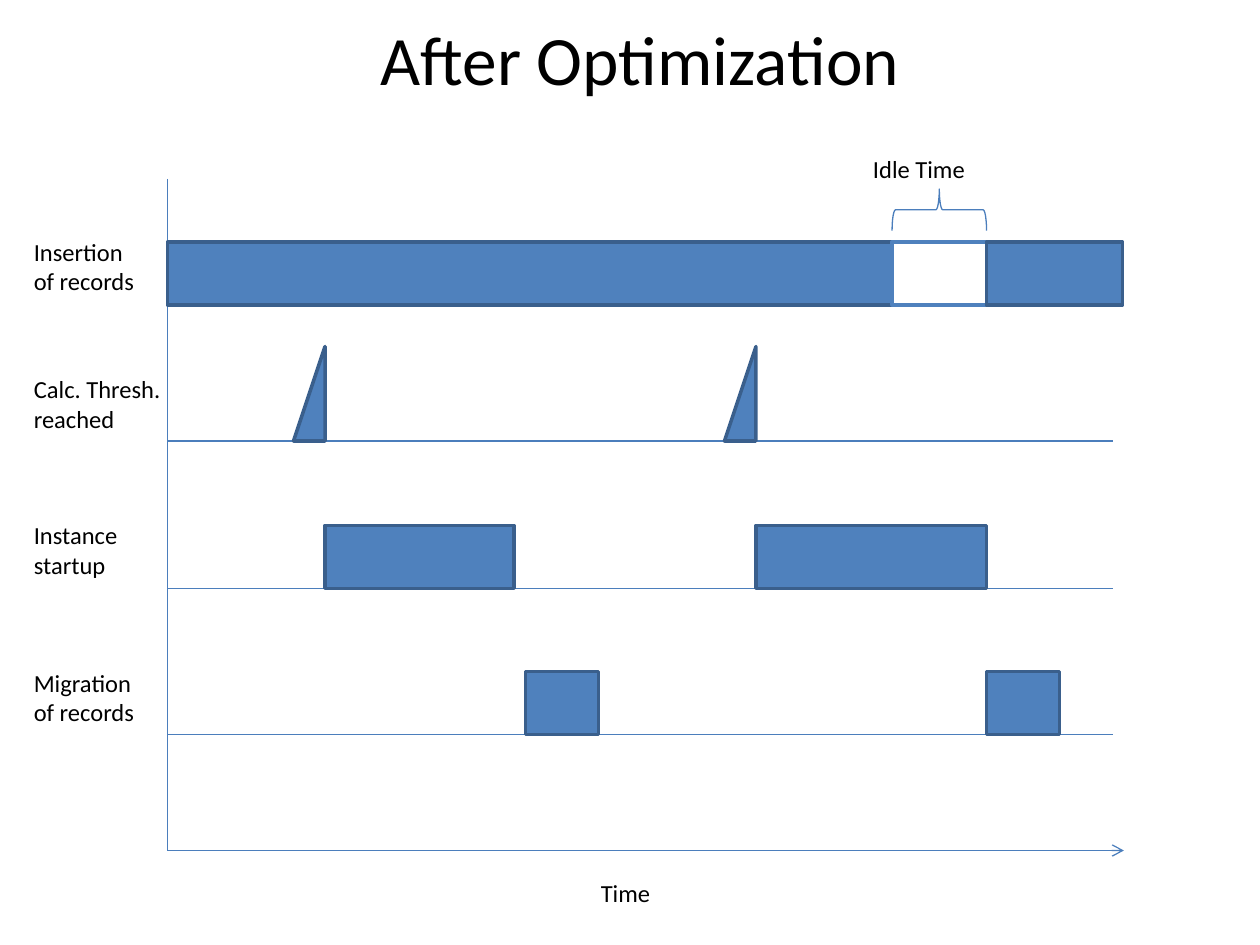
"""Build a timing diagram slide of the optimized record process."""
from lxml.etree import SubElement
from pptx import Presentation
from pptx.dml.color import RGBColor
from pptx.enum.shapes import MSO_CONNECTOR, MSO_SHAPE
from pptx.enum.text import MSO_ANCHOR, PP_ALIGN
from pptx.oxml.ns import qn
from pptx.util import Inches, Pt

BLUE, EDGE, LINE, WHITE, BLACK = "4F81BD", "3A5F8C", "4B7EBC", "FFFFFF", "000000"
AXIS_LEFT, AXIS_TOP, AXIS_BOTTOM, AXIS_RIGHT = 1.33, 1.42, 6.75, 8.92
BASELINE_RIGHT = 8.83
BAR_HEIGHT, PEAK_WIDTH, PEAK_HEIGHT = 0.5, 0.25, 0.75

ROWS = [
    ("Insertion of records", 1.83, 1, 2.42),
    ("Calc. Thresh. reached", 2.92, 1.42, 3.5),
    ("Instance startup", 4.08, 1, 4.67),
    ("Migration of records", 5.25, 1, 5.83),
]
BARS = [
    (1.33, 2.42, 5.75, BLUE, EDGE),
    (7.08, 2.42, 0.75, WHITE, BLUE),
    (7.83, 2.42, 1.08, BLUE, EDGE),
    (2.58, 4.67, 1.5, BLUE, EDGE),
    (6, 4.67, 1.83, BLUE, EDGE),
    (4.17, 5.83, 0.58, BLUE, EDGE),
    (7.83, 5.83, 0.58, BLUE, EDGE),
]
PEAKS = [2.33, 5.75]


def color(value):
    """Turn a hex string into a colour."""
    return RGBColor.from_string(value)


def add_text(page, text, left, top, width, height, size=14,
             align=PP_ALIGN.LEFT, anchor=MSO_ANCHOR.TOP):
    """Add a wrapped text box."""
    box = page.shapes.add_textbox(Inches(left), Inches(top), Inches(width), Inches(height))
    frame = box.text_frame
    frame.word_wrap = True
    frame.vertical_anchor = anchor
    para = frame.paragraphs[0]
    para.alignment = align
    span = para.add_run()
    span.text = text
    span.font.name = "Calibri"
    span.font.size = Pt(size)
    span.font.color.rgb = color(BLACK)


def add_line(page, start, end, arrow=False):
    """Add a thin straight line, with an open arrowhead if asked."""
    line = page.shapes.add_connector(
        MSO_CONNECTOR.STRAIGHT, *(Inches(value) for value in (*start, *end)))
    line.line.color.rgb = color(LINE)
    line.line.width = Pt(0.75)
    if arrow:
        SubElement(line.line._get_or_add_ln(), qn("a:tailEnd"), type="arrow")
    SubElement(line._element.spPr, qn("a:effectLst"))


def add_figure(page, kind, left, top, width, height, fill=BLUE, edge=EDGE, weight=2):
    """Add a preset shape, unfilled when fill is None."""
    figure = page.shapes.add_shape(
        kind, Inches(left), Inches(top), Inches(width), Inches(height))
    figure.shadow.inherit = False
    if fill:
        figure.fill.solid()
        figure.fill.fore_color.rgb = color(fill)
    else:
        figure.fill.background()
    figure.line.color.rgb = color(edge)
    figure.line.width = Pt(weight)
    return figure


def add_peak(page, left, baseline):
    """Add a rising triangle that stands on a baseline."""
    peak = add_figure(page, MSO_SHAPE.RIGHT_TRIANGLE, left, baseline - PEAK_HEIGHT,
                      PEAK_WIDTH, PEAK_HEIGHT)
    peak._element.spPr.find(qn("a:xfrm")).set("flipH", "1")


def main():
    """Build and save the deck."""
    deck = Presentation()
    deck.slide_width, deck.slide_height = Inches(10), Inches(7.5)
    page = deck.slides.add_slide(deck.slide_layouts[6])

    add_text(page, "After Optimization", 0.83, 0.08, 8.5, 0.75, size=39.6,
             align=PP_ALIGN.CENTER, anchor=MSO_ANCHOR.MIDDLE)
    add_line(page, (AXIS_LEFT, AXIS_TOP), (AXIS_LEFT, AXIS_BOTTOM))
    for label, top, width, baseline in ROWS:
        add_line(page, (AXIS_LEFT, baseline), (BASELINE_RIGHT, baseline))
        add_text(page, label, 0.17, top, width, 0.57)
    for left, baseline, width, fill, edge in BARS:
        add_figure(page, MSO_SHAPE.RECTANGLE, left, baseline - BAR_HEIGHT, width,
                   BAR_HEIGHT, fill, edge)
    for left in PEAKS:
        add_peak(page, left, 3.5)

    add_text(page, "Idle Time", 6.83, 1.17, 1.08, 0.33)
    brace = add_figure(page, MSO_SHAPE.RIGHT_BRACE, 7.29, 1.29, 0.33, 0.75,
                       fill=None, edge=LINE, weight=0.75)
    brace.rotation = 270
    add_line(page, (AXIS_LEFT, AXIS_BOTTOM), (AXIS_RIGHT, AXIS_BOTTOM), arrow=True)
    add_text(page, "Time", 4.67, 6.92, 0.67, 0.33)
    deck.save("out.pptx")


main()
